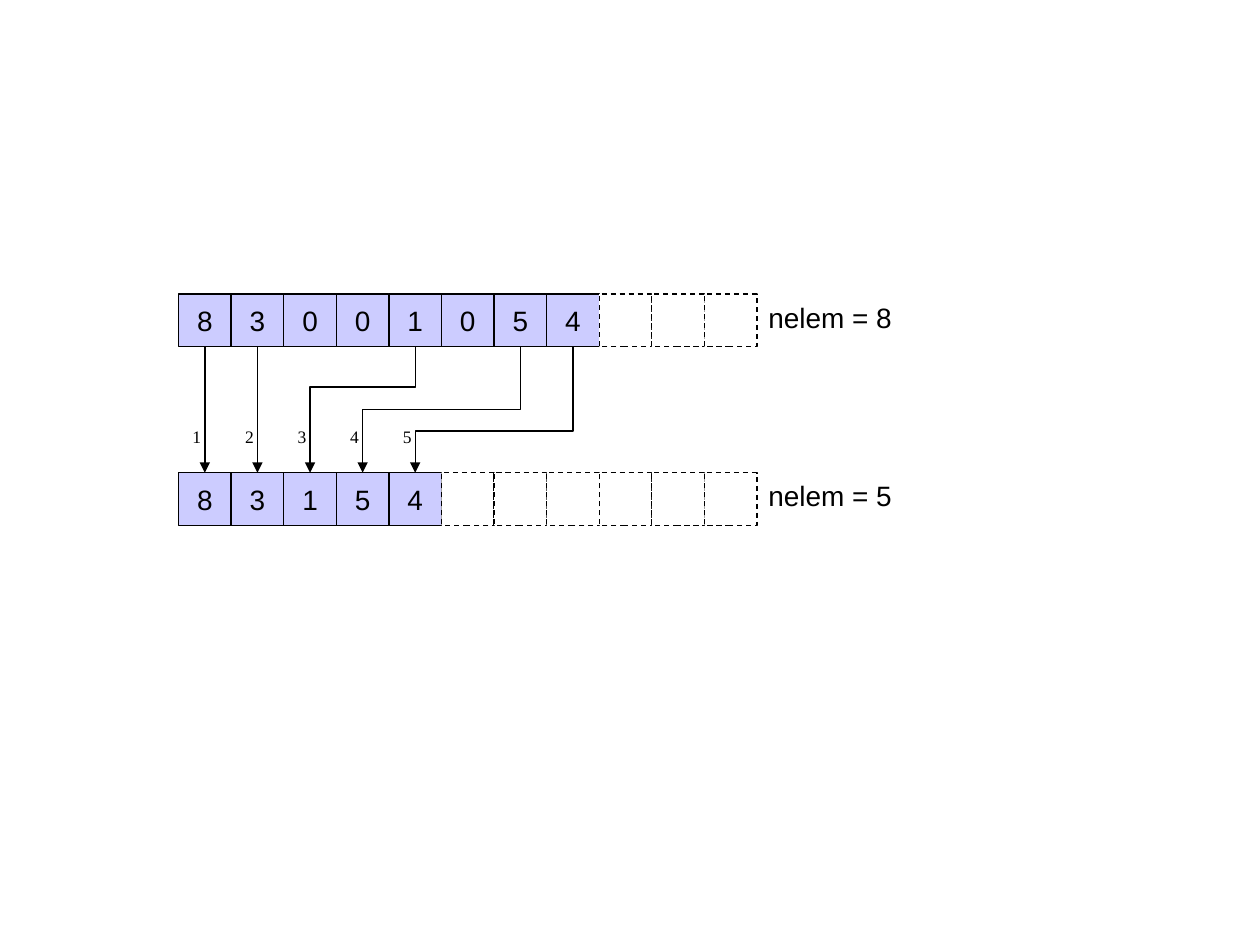
"""Build a slide showing an array before and after its zeros are removed."""
from lxml.etree import SubElement
from pptx import Presentation
from pptx.dml.color import RGBColor
from pptx.enum.dml import MSO_LINE
from pptx.enum.shapes import MSO_CONNECTOR as Link, MSO_SHAPE
from pptx.enum.text import MSO_ANCHOR, MSO_AUTO_SIZE, PP_ALIGN
from pptx.oxml.ns import qn
from pptx.util import Cm, Pt

BLACK = RGBColor(0x00, 0x00, 0x00)
WHITE = RGBColor(0xFF, 0xFF, 0xFF)
LILAC = RGBColor(0xCC, 0xCC, 0xFF)

CELL = 1.06
LEFT = 3.6
CAPACITY = 11
BEFORE_TOP = 5.93
AFTER_TOP = 9.53
BEFORE = [8, 3, 0, 0, 1, 0, 5, 4]
KEPT = [index for index, value in enumerate(BEFORE) if value != 0]
AFTER = [BEFORE[index] for index in KEPT]
BENDS = [None, None, 0.32, 0.5, 0.67]


def write(shape, text, size, font_name, alignment):
    frame = shape.text_frame
    frame.word_wrap = False
    para = frame.paragraphs[0]
    para.text = text
    para.alignment = alignment
    para.font.size = Pt(size)
    para.font.name = font_name
    para.font.color.rgb = BLACK


def add_label(slide, text, left, top, width, height, size, font_name):
    box = slide.shapes.add_textbox(Cm(left), Cm(top), Cm(width), Cm(height))
    write(box, text, size, font_name, PP_ALIGN.LEFT)
    box.text_frame.auto_size = MSO_AUTO_SIZE.SHAPE_TO_FIT_TEXT


deck = Presentation()
deck.slide_width = Cm(25.4)
deck.slide_height = Cm(19.05)
slide = deck.slides.add_slide(deck.slide_layouts[6])

for top, values in ((BEFORE_TOP, BEFORE), (AFTER_TOP, AFTER)):
    for column in range(CAPACITY):
        cell = slide.shapes.add_shape(
            MSO_SHAPE.RECTANGLE, Cm(LEFT + column * CELL), Cm(top), Cm(CELL), Cm(CELL))
        cell.shadow.inherit = False
        cell.fill.solid()
        cell.line.color.rgb = BLACK
        cell.line.width = Pt(0.75)
        if column < len(values):
            cell.fill.fore_color.rgb = LILAC
            cell.text_frame.vertical_anchor = MSO_ANCHOR.MIDDLE
            write(cell, str(values[column]), 16, "Arial", PP_ALIGN.CENTER)
        else:
            cell.fill.fore_color.rgb = WHITE
            cell.line.dash_style = MSO_LINE.DASH
    add_label(slide, f"nelem = {len(values)}", 15.24, top, 3, 0.94, 16, "Arial")

start_y = BEFORE_TOP + CELL
drop = AFTER_TOP - start_y
for target, (source, bend) in enumerate(zip(KEPT, BENDS)):
    start_x = LEFT + (source + 0.5) * CELL
    end_x = LEFT + (target + 0.5) * CELL
    if bend is None:
        arrow = slide.shapes.add_connector(
            Link.STRAIGHT, Cm(start_x), Cm(start_y), Cm(end_x), Cm(AFTER_TOP))
    else:
        middle_x = (start_x + end_x) / 2
        middle_y = (start_y + AFTER_TOP) / 2
        span_x = start_x - end_x
        arrow = slide.shapes.add_connector(
            Link.ELBOW,
            Cm(middle_x - drop / 2), Cm(middle_y - span_x / 2),
            Cm(middle_x + drop / 2), Cm(middle_y + span_x / 2))
        properties = arrow.element.spPr
        properties.find(qn("a:xfrm")).set("rot", "5400000")
        adjustments = properties.find(qn("a:prstGeom")).find(qn("a:avLst"))
        SubElement(adjustments, qn("a:gd"), name="adj1", fmla=f"val {round(bend * 100000)}")
    arrow.line.color.rgb = BLACK
    arrow.line.width = Pt(0.75)
    SubElement(arrow.line._get_or_add_ln(), qn("a:tailEnd"), type="triangle")
    SubElement(arrow.element.spPr, qn("a:effectLst"))
    add_label(slide, str(target + 1), 3.63 + target * CELL, 8.46, 0.69, 0.69,
              10, "Times New Roman")

deck.save("out.pptx")
